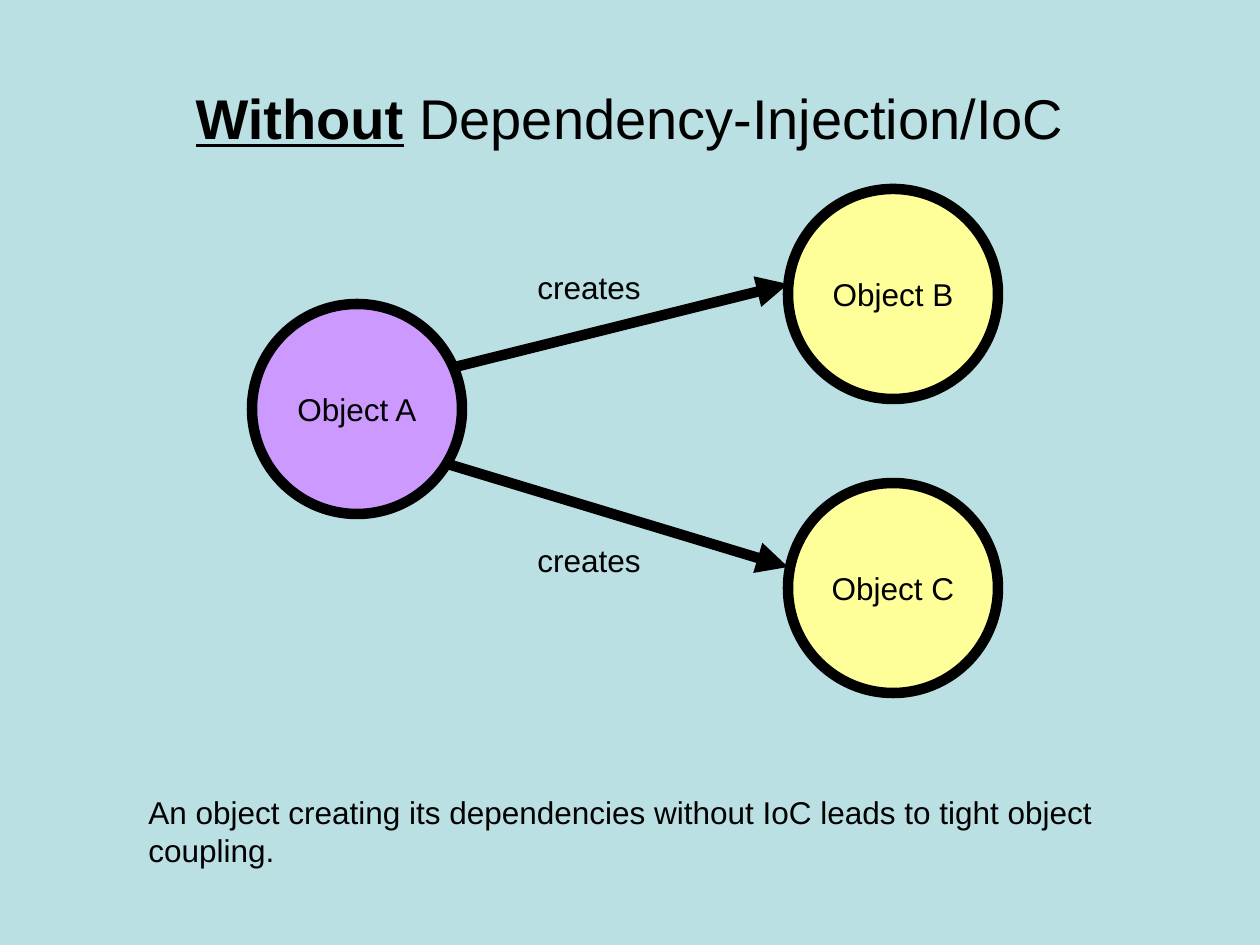
from dataclasses import dataclass

from lxml import etree
from pptx import Presentation
from pptx.dml.color import RGBColor
from pptx.enum.shapes import MSO_CONNECTOR, MSO_SHAPE
from pptx.enum.text import MSO_ANCHOR, MSO_AUTO_SIZE, PP_ALIGN
from pptx.oxml.ns import qn
from pptx.util import Pt

STRAIGHT = MSO_CONNECTOR.STRAIGHT
OVAL = MSO_SHAPE.OVAL
TOP, MIDDLE = MSO_ANCHOR.TOP, MSO_ANCHOR.MIDDLE
LEFT, CENTER = PP_ALIGN.LEFT, PP_ALIGN.CENTER
NO_AUTOFIT = MSO_AUTO_SIZE.NONE
PX = 914400 / 126


@dataclass(frozen=True)
class Theme:
    font: str = "Arial"
    background: RGBColor = RGBColor.from_string("BBE0E3")
    ink: RGBColor = RGBColor.from_string("000000")
    creator: RGBColor = RGBColor.from_string("CC99FF")
    dependency: RGBColor = RGBColor.from_string("FFFF99")
    title: int = 32
    body: int = 18
    stroke: int = 6


theme = Theme()


def px(*lengths):
    return [round(length * PX) for length in lengths]


def write(shape, text, size=theme.body, align=LEFT, anchor=TOP, wrap=True, lead=""):
    """Fill a shape with one paragraph, opened by an optional bold underlined lead."""
    tf = shape.text_frame
    tf.auto_size = NO_AUTOFIT
    tf.word_wrap = wrap
    tf.vertical_anchor = anchor
    p = tf.paragraphs[0]
    p.alignment = align
    for part, strong in ((lead, True), (text, False)):
        if part:
            r = p.add_run()
            r.text = part
            r.font.name = theme.font
            r.font.size = Pt(size)
            r.font.color.rgb = theme.ink
            r.font.bold = r.font.underline = strong


prs = Presentation()
prs.slide_width, prs.slide_height = px(1260, 945)
s = prs.slides.add_slide(prs.slide_layouts[5])
s.background.fill.solid()
s.background.fill.fore_color.rgb = theme.background

title = s.shapes.title
title.left, title.top, title.width, title.height = px(63, 38, 1134, 158)
write(title, " Dependency-Injection/IoC", size=theme.title, align=CENTER,
      anchor=MIDDLE, lead="Without")

# Arrows from the creator to its dependencies
for ends in ((451, 368, 788, 284), (441, 462, 788, 567)):
    arrow = s.shapes.add_connector(STRAIGHT, *px(*ends))
    arrow.line.color.rgb = theme.ink
    arrow.line.width = Pt(theme.stroke)
    etree.SubElement(arrow.line._get_or_add_ln(), qn("a:tailEnd"), type="triangle")
    etree.SubElement(arrow._element.spPr, qn("a:effectLst"))

# Objects
DIAMETER = 210
for name, left, top, color in (
    ("Object A", 252, 304, theme.creator),
    ("Object B", 788, 189, theme.dependency),
    ("Object C", 788, 483, theme.dependency),
):
    circle = s.shapes.add_shape(OVAL, *px(left, top, DIAMETER, DIAMETER))
    circle.shadow.inherit = False
    circle.fill.solid()
    circle.fill.fore_color.rgb = color
    circle.line.color.rgb = theme.ink
    circle.line.width = Pt(theme.stroke)
    write(circle, name, align=CENTER, anchor=MIDDLE, wrap=False)

# Arrow labels and closing remark
for text, *box in (
    ("creates", 525, 262, 147, 50),
    ("creates", 525, 535, 136, 50),
    ("An object creating its dependencies without IoC leads to tight object coupling.",
     136, 787, 977, 88),
):
    write(s.shapes.add_textbox(*px(*box)), text)

prs.save("out.pptx")
